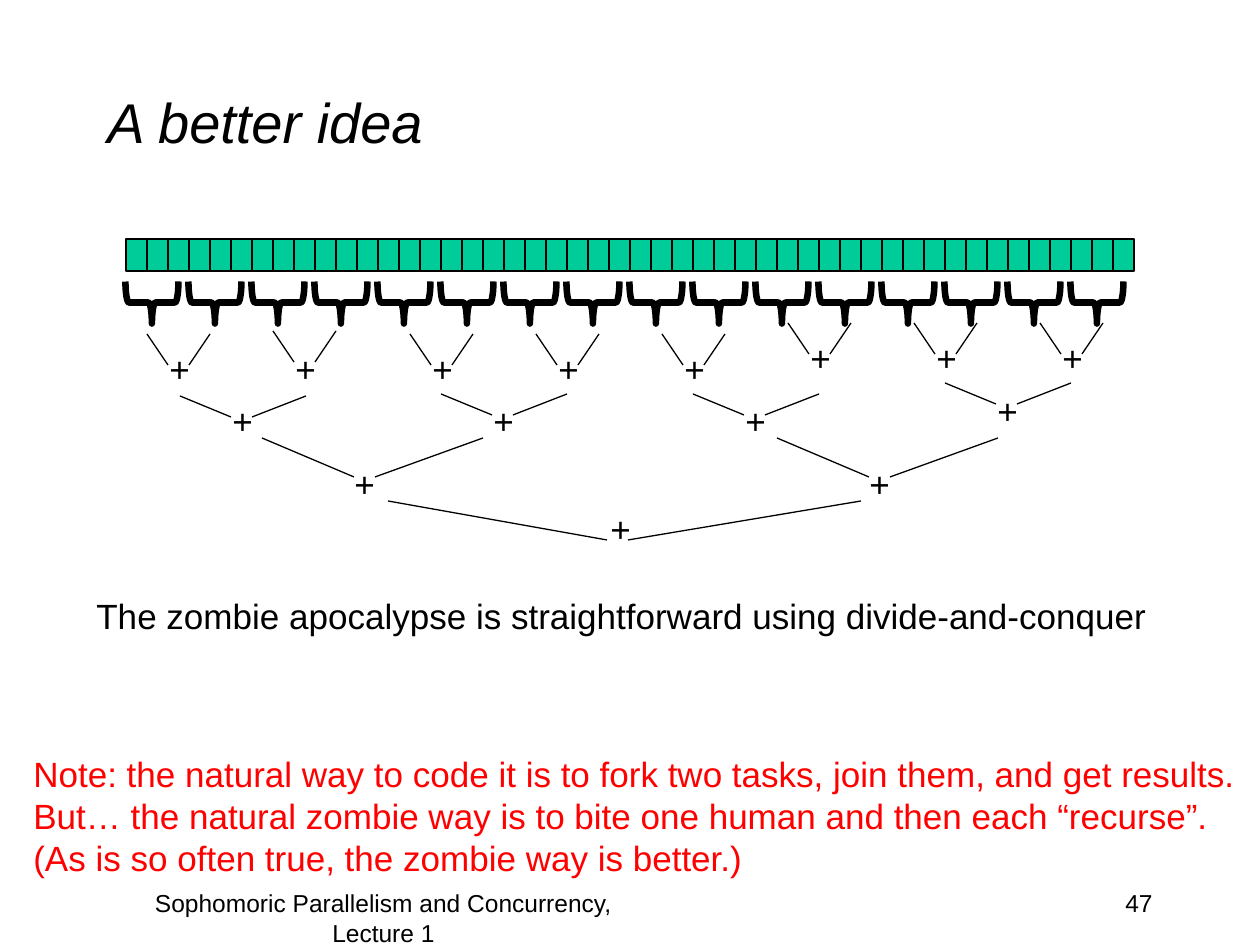
from pptx import Presentation
from pptx.dml.color import RGBColor
from pptx.enum.shapes import MSO_CONNECTOR, MSO_SHAPE
from pptx.enum.text import MSO_ANCHOR, MSO_AUTO_SIZE, PP_ALIGN
from pptx.oxml.ns import qn
from pptx.util import Emu, Pt
from lxml.etree import SubElement

BLACK = RGBColor(0x00, 0x00, 0x00)
RED = RGBColor(0xFF, 0x00, 0x00)
GREEN = RGBColor(0x00, 0xCC, 0x99)
FONT = "Arial"
CELL_COUNT, CELL_WIDTH = 48, 21
BRACE_COUNT, BRACE_STEP = 16, 63

# Each level: left tip, right tip and right start from the left start, drop,
# label offset from the left tip, then (left start, top, label top) per node.
LEVELS = [
    (21, 42, 63, 31, -11, [
        (147, 334, 341), (273, 331, 341), (410, 334, 341), (536, 334, 341),
        (662, 334, 341), (788, 323, 330), (914, 323, 330), (1040, 323, 330)]),
    (51, 72, 126, 21, -11, [
        (180, 396, 393), (441, 394, 393), (693, 394, 393), (945, 383, 383)]),
    (92, 113, 221, 39, -12, [(262, 438, 456), (777, 438, 456)]),
    (219, 240, 473, 39, -9, [(388, 501, 501)]),
]


def px(length):
    return Emu(round(length * 914400 / 126))


def add_text(slide, box, lines, size, color=BLACK, align=PP_ALIGN.LEFT,
             italic=False, anchor=MSO_ANCHOR.TOP, wrap=True):
    shape = slide.shapes.add_textbox(*map(px, box))
    frame = shape.text_frame
    frame.text = lines
    frame.word_wrap = wrap
    frame.vertical_anchor = anchor
    if not wrap:
        frame.auto_size = MSO_AUTO_SIZE.SHAPE_TO_FIT_TEXT
    for paragraph in frame.paragraphs:
        paragraph.alignment = align
        for run in paragraph.runs:
            run.font.name = FONT
            run.font.size = Pt(size)
            run.font.italic = italic
            run.font.color.rgb = color


def add_outlined(slide, kind, box, line_width, fill=None):
    shape = slide.shapes.add_shape(kind, *map(px, box))
    shape.shadow.inherit = False
    shape.line.color.rgb = BLACK
    shape.line.width = Pt(line_width)
    if fill is None:
        shape.fill.background()
    else:
        shape.fill.solid()
        shape.fill.fore_color.rgb = fill
    return shape


def add_line(slide, *ends):
    line = slide.shapes.add_connector(MSO_CONNECTOR.STRAIGHT, *map(px, ends))
    line.line.color.rgb = BLACK
    line.line.width = Pt(0.75)
    SubElement(line._element.spPr, qn("a:effectLst"))


def add_array(slide):
    for index in range(CELL_COUNT):
        box = (126 + index * CELL_WIDTH, 239, CELL_WIDTH, 32)
        add_outlined(slide, MSO_SHAPE.RECTANGLE, box, 0.75, GREEN)
    for index in range(BRACE_COUNT):
        box = (131 + index * BRACE_STEP, 276, 42, 53)
        brace = add_outlined(slide, MSO_SHAPE.LEFT_BRACE, box, 3.75)
        brace.rotation = 270


def add_sum_tree(slide):
    for left_tip, right_tip, right, drop, label, nodes in LEVELS:
        for x, y, label_top in nodes:
            add_line(slide, x, y, x + left_tip, y + drop)
            add_line(slide, x + right, y, x + right_tip, y + drop)
            box = (x + left_tip + label, label_top, 45, 55)
            add_text(slide, box, "+", 20, wrap=False)


def main():
    presentation = Presentation()
    presentation.slide_width = px(1260)
    presentation.slide_height = px(945)
    slide = presentation.slides.add_slide(presentation.slide_layouts[6])

    add_text(slide, (95, 42, 1071, 158), "A better idea", 32,
             italic=True, anchor=MSO_ANCHOR.MIDDLE)
    add_text(slide, (84, 588, 1113, 116),
             "The zombie apocalypse is straightforward using divide-and-conquer", 20)
    add_text(slide, (903, 882, 262, 63), "47", 14, align=PP_ALIGN.RIGHT)
    add_text(slide, (105, 882, 557, 63),
             "Sophomoric Parallelism and Concurrency, Lecture 1", 14,
             align=PP_ALIGN.CENTER)
    add_array(slide)
    add_sum_tree(slide)
    add_text(slide, (21, 746, 1235, 140),
             "Note: the natural way to code it is to fork two tasks, join them, and get results.\v"
             "But… the natural zombie way is to bite one human and then each “recurse”.\n"
             "(As is so often true, the zombie way is better.)",
             20, RED, wrap=False)
    presentation.save("out.pptx")


if __name__ == "__main__":
    main()
